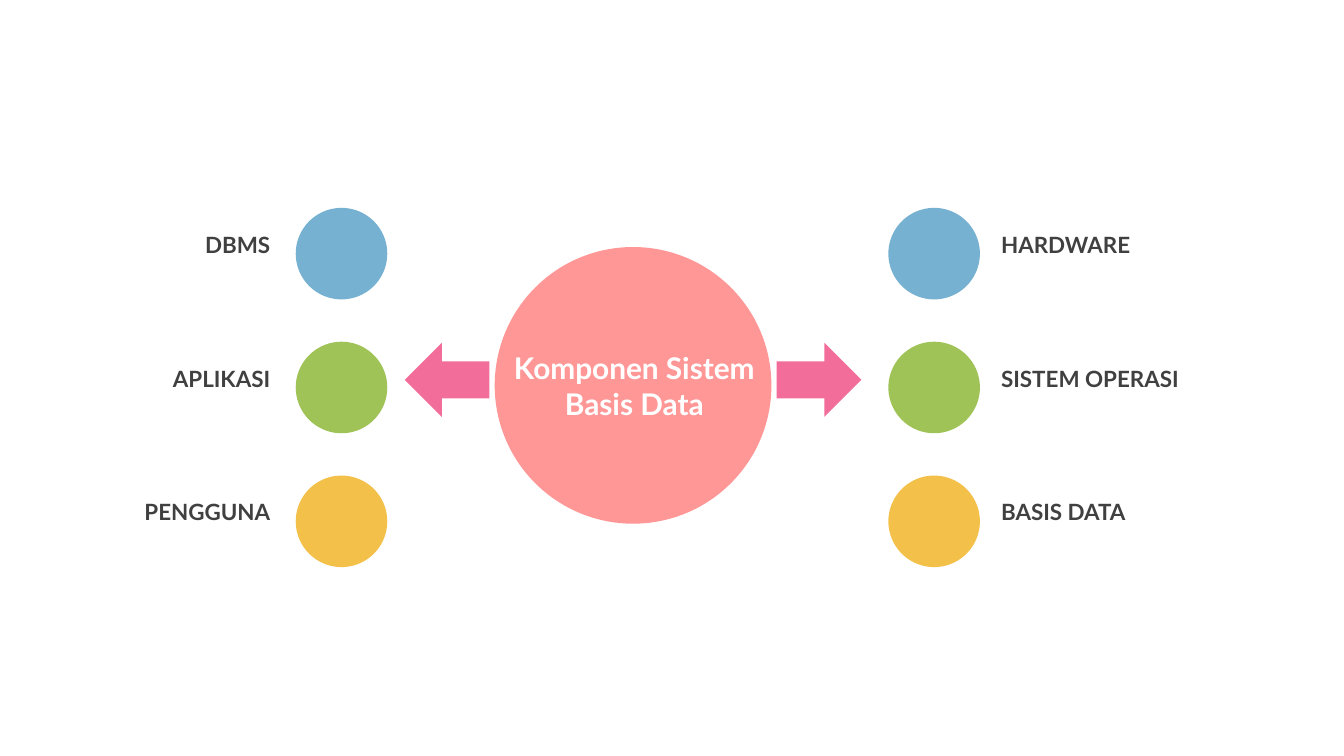
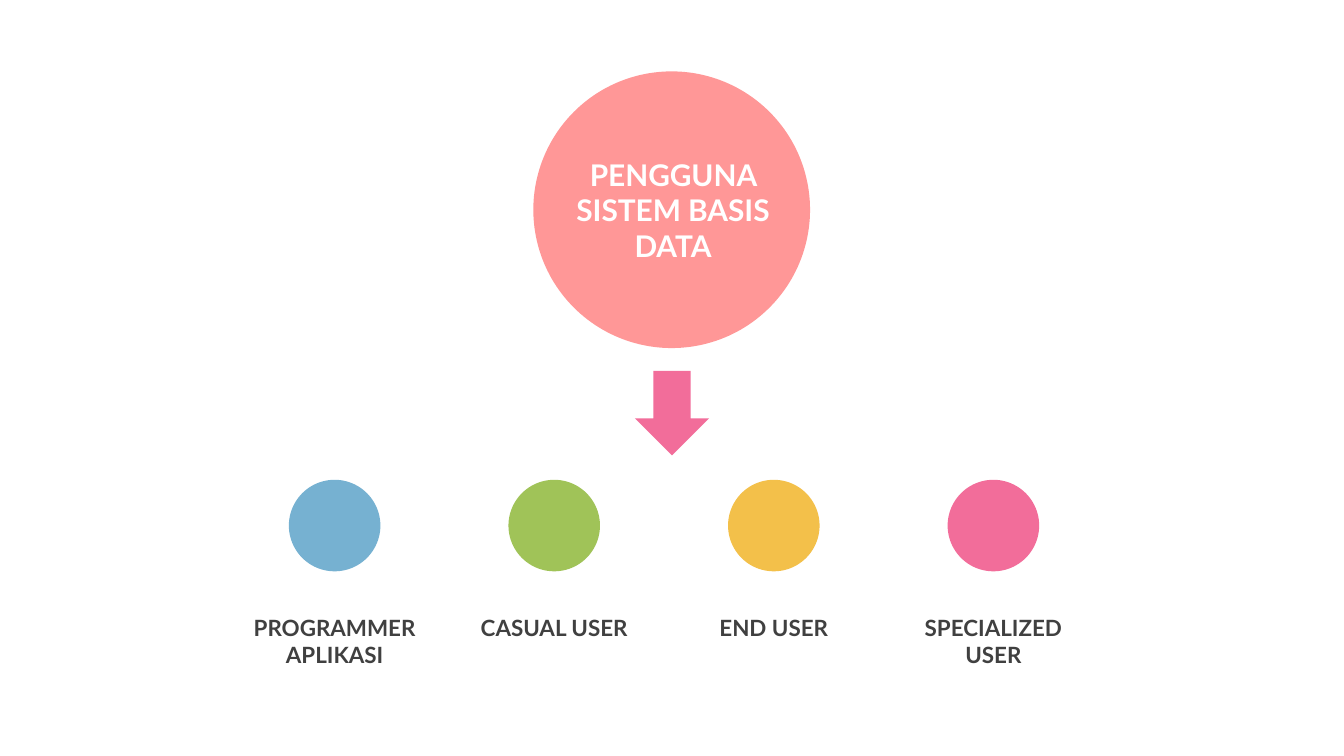
from dataclasses import dataclass

import pptx
import pptx.dml.color
import pptx.enum.shapes
import pptx.enum.text
import pptx.shapes.autoshape
import pptx.slide
import pptx.text.text
import pptx.util

Cm = pptx.util.Cm
RGBColor = pptx.dml.color.RGBColor
ShapeKind = pptx.enum.shapes.MSO_SHAPE
Align = pptx.enum.text.PP_ALIGN
Anchor = pptx.enum.text.MSO_ANCHOR
AutoSize = pptx.enum.text.MSO_AUTO_SIZE

CORAL = RGBColor(0xFF, 0x97, 0x97)
PINK = RGBColor(0xF2, 0x6D, 0x9A)
BLUE = RGBColor(0x76, 0xB1, 0xD1)
GREEN = RGBColor(0xA0, 0xC3, 0x58)
YELLOW = RGBColor(0xF3, 0xC0, 0x4A)
DARK_GREY = RGBColor(0x40, 0x40, 0x40)
WHITE = RGBColor(0xFF, 0xFF, 0xFF)
DOT_COLORS = (BLUE, GREEN, YELLOW, PINK)

FONT = "Lato"
TITLE_ONLY_LAYOUT = 5
HUB_SIZE = Cm(5.23)
DOT_SIZE = Cm(1.73)
LINE_HEIGHT = Cm(0.76)
TWO_LINE_HEIGHT = Cm(1.27)


@dataclass(frozen=True)
class Box:
    left: int
    top: int
    width: int
    height: int


@dataclass(frozen=True)
class ComponentColumn:
    dot_left: int
    label_left: int
    align: Align
    labels: tuple[str, ...]


@dataclass(frozen=True)
class UserGroup:
    label: str
    label_height: int


COMPONENT_COLUMNS = (
    ComponentColumn(Cm(16.79), Cm(18.67), Align.LEFT,
                    ("HARDWARE", "SISTEM OPERASI", "BASIS DATA")),
    ComponentColumn(Cm(5.59), Cm(-2.51), Align.RIGHT,
                    ("DBMS", "APLIKASI", "PENGGUNA")),
)
USER_GROUPS = (
    UserGroup("PROGRAMMER APLIKASI", TWO_LINE_HEIGHT),
    UserGroup("CASUAL USER", LINE_HEIGHT),
    UserGroup("END USER", LINE_HEIGHT),
    UserGroup("SPECIALIZED USER", TWO_LINE_HEIGHT),
)


def write_text(frame: pptx.text.text.TextFrame, text: str, *, size: int,
               color: RGBColor, align: Align, anchor: Anchor = Anchor.TOP,
               auto_size: AutoSize = AutoSize.NONE) -> None:
    frame.word_wrap = True
    frame.auto_size = auto_size
    frame.vertical_anchor = anchor
    paragraph = frame.paragraphs[0]
    paragraph.alignment = align
    run = paragraph.add_run()
    run.text = text
    run.font.name = FONT
    run.font.size = pptx.util.Pt(size)
    run.font.bold = True
    run.font.color.rgb = color


def add_filled_shape(slide: pptx.slide.Slide, kind: ShapeKind, box: Box,
                     color: RGBColor) -> pptx.shapes.autoshape.Shape:
    shape = slide.shapes.add_shape(kind, box.left, box.top, box.width, box.height)
    shape.shadow.inherit = False
    shape.fill.solid()
    shape.fill.fore_color.rgb = color
    shape.line.fill.background()
    return shape


def add_dot(slide: pptx.slide.Slide, left: int, top: int, color: RGBColor) -> None:
    add_filled_shape(slide, ShapeKind.OVAL, Box(left, top, DOT_SIZE, DOT_SIZE), color)


def add_arrow(slide: pptx.slide.Slide, left: int, top: int, rotation: int = 0) -> None:
    arrow = add_filled_shape(slide, ShapeKind.RIGHT_ARROW,
                             Box(left, top, Cm(1.6), Cm(1.4)), PINK)
    arrow.rotation = rotation


def add_label(slide: pptx.slide.Slide, text: str, box: Box, align: Align) -> None:
    label = slide.shapes.add_textbox(box.left, box.top, box.width, box.height)
    write_text(label.text_frame, text, size=12, color=DARK_GREY, align=align,
               auto_size=AutoSize.SHAPE_TO_FIT_TEXT)


def add_hub(slide: pptx.slide.Slide, title_text: str, left: int, top: int) -> None:
    """Draw the large circle and bring the slide title in front of it."""
    add_filled_shape(slide, ShapeKind.OVAL, Box(left, top, HUB_SIZE, HUB_SIZE), CORAL)
    title = slide.shapes.title
    title.left, title.top = left + Cm(0.05), top + Cm(1.54)
    title.width, title.height = Cm(5.18), Cm(2.16)
    write_text(title.text_frame, title_text, size=16, color=WHITE,
               align=Align.CENTER, anchor=Anchor.MIDDLE)
    slide.shapes.element.append(title.element)


def build_components_slide(slide: pptx.slide.Slide) -> None:
    add_hub(slide, "Komponen Sistem Basis Data", Cm(9.35), Cm(4.67))
    add_arrow(slide, Cm(14.68), Cm(6.48))
    add_arrow(slide, Cm(7.65), Cm(6.48), rotation=180)
    for column in COMPONENT_COLUMNS:
        for row, (text, color) in enumerate(zip(column.labels, DOT_COLORS)):
            top = Cm(3.93) + row * Cm(2.53)
            add_dot(slide, column.dot_left, top, color)
            label_box = Box(column.label_left, top + Cm(0.31), Cm(7.87), LINE_HEIGHT)
            add_label(slide, text, label_box, column.align)


def build_users_slide(slide: pptx.slide.Slide) -> None:
    add_hub(slide, "PENGGUNA SISTEM BASIS DATA", Cm(10.08), Cm(1.35))
    add_arrow(slide, Cm(11.9), Cm(7.11), rotation=90)
    label_width = Cm(3.61)
    for index, (group, color) in enumerate(zip(USER_GROUPS, DOT_COLORS)):
        dot_left = Cm(5.46) + index * Cm(4.15)
        label_left = dot_left + (DOT_SIZE - label_width) // 2
        add_dot(slide, dot_left, Cm(9.07), color)
        label_box = Box(label_left, Cm(11.48), label_width, group.label_height)
        add_label(slide, group.label, label_box, Align.CENTER)


def main() -> None:
    presentation = pptx.Presentation()
    presentation.slide_width = Cm(25.4)
    presentation.slide_height = Cm(14.29)
    layout = presentation.slide_layouts[TITLE_ONLY_LAYOUT]
    for build_slide in (build_components_slide, build_users_slide):
        build_slide(presentation.slides.add_slide(layout))
    presentation.save("out.pptx")


if __name__ == "__main__":
    main()
